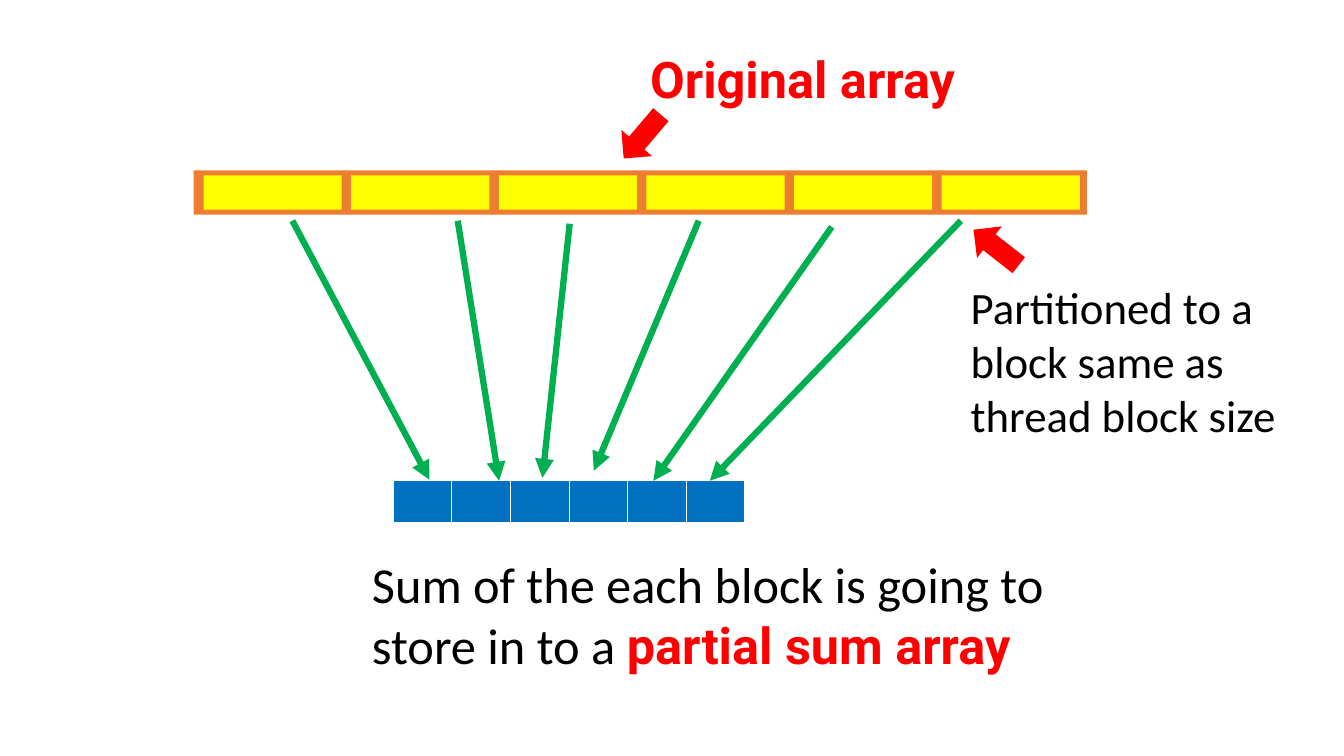
import pptx
import pptx.dml.color
import pptx.enum.shapes
import pptx.enum.text
import pptx.oxml.ns
import pptx.util
from lxml import etree

Inches = pptx.util.Inches
SHAPES = pptx.enum.shapes.MSO_SHAPE
BLOCKS = 6
BODY = {"name": "Calibri", "bold": False, "color": "000000"}
KEYWORD = {"name": "Roboto", "bold": True, "color": "FF0000"}


def rgb(value):
    return pptx.dml.color.RGBColor.from_string(value)


def add_filled(slide, kind, box, color, rotation=0):
    shape = slide.shapes.add_shape(kind, *map(Inches, box))
    shape.shadow.inherit = False
    shape.fill.solid()
    shape.fill.fore_color.rgb = rgb(color)
    shape.line.fill.background()
    shape.rotation = rotation


def add_label(slide, box, size, runs):
    """Add one wrapped paragraph made of (text, format) runs."""
    frame = slide.shapes.add_textbox(*map(Inches, box)).text_frame
    frame.word_wrap = True
    frame.auto_size = pptx.enum.text.MSO_AUTO_SIZE.SHAPE_TO_FIT_TEXT
    for text, style in runs:
        run = frame.paragraphs[0].add_run()
        run.text = text
        run.font.size = pptx.util.Pt(size)
        for key, value in style.items():
            if key == "color":
                run.font.color.rgb = rgb(value)
            else:
                setattr(run.font, key, value)


def add_original_array(slide, box):
    left, top, width, height = box
    add_filled(slide, SHAPES.RECTANGLE, box, "ED7D31")
    pitch = 1.464
    for block in range(BLOCKS):
        block_box = (left + 0.1 + block * pitch, top + 0.05, 1.37, 0.34)
        add_filled(slide, SHAPES.RECTANGLE, block_box, "FFFF00")


def add_partial_sums(slide, box):
    table = slide.shapes.add_table(1, BLOCKS, *map(Inches, box)).table
    for column in table.columns:
        column.width = Inches(box[2] / BLOCKS)
    for cell in table.iter_cells():
        cell.fill.solid()
        cell.fill.fore_color.rgb = rgb("0070C0")


def add_reduction_arrows(slide, box):
    """Link each block to its sum; ends are offsets inside the box."""
    left, top = box[:2]
    ends = [
        ((0, 0), (1.36, 2.57)),
        ((1.64, 0), (2.05, 2.58)),
        ((2.75, 0.03), (2.48, 2.55)),
        ((4.03, 0), (2.99, 2.48)),
        ((5.35, 0.06), (3.58, 2.58)),
        ((6.63, 0), (4.14, 2.58)),
    ]
    for (x1, y1), (x2, y2) in ends:
        arrow = slide.shapes.add_connector(
            pptx.enum.shapes.MSO_CONNECTOR.STRAIGHT,
            Inches(left + x1), Inches(top + y1),
            Inches(left + x2), Inches(top + y2))
        arrow.line.width = pptx.util.Pt(4.5)
        arrow.line.color.rgb = rgb("00B050")
        qn = pptx.oxml.ns.qn
        properties = arrow._element.spPr
        etree.SubElement(properties.find(qn("a:ln")), qn("a:tailEnd"), type="triangle")
        etree.SubElement(properties, qn("a:effectLst"))


def add_callout(slide, pointer_box, rotation, label_box, size, runs):
    add_filled(slide, SHAPES.DOWN_ARROW, pointer_box, "FF0000", rotation)
    add_label(slide, label_box, size, runs)


def main():
    deck = pptx.Presentation()
    deck.slide_width, deck.slide_height = Inches(13.33), Inches(7.5)
    slide = deck.slides.add_slide(deck.slide_layouts[6])
    add_original_array(slide, (1.92, 1.69, 8.86, 0.44))
    add_partial_sums(slide, (3.9, 4.77, 3.49, 0.41))
    add_reduction_arrows(slide, (2.9, 2.19, 6.63, 2.58))
    add_callout(slide, (6.17, 1.07, 0.4, 0.57), 40.3, (6.35, 0.43, 3.86, 0.71),
                36, [("Original array", KEYWORD)])
    add_callout(slide, (9.68, 2.17, 0.4, 0.57), 128.1, (9.53, 2.73, 3.87, 1.72),
                32, [("Partitioned to a block same as thread block size", BODY)])
    add_label(slide, (3.59, 5.44, 7.51, 1.31), 36,
              [("Sum of the each block is going to store in to a ", BODY),
               ("partial sum array", KEYWORD)])
    deck.save("out.pptx")


if __name__ == "__main__":
    main()
